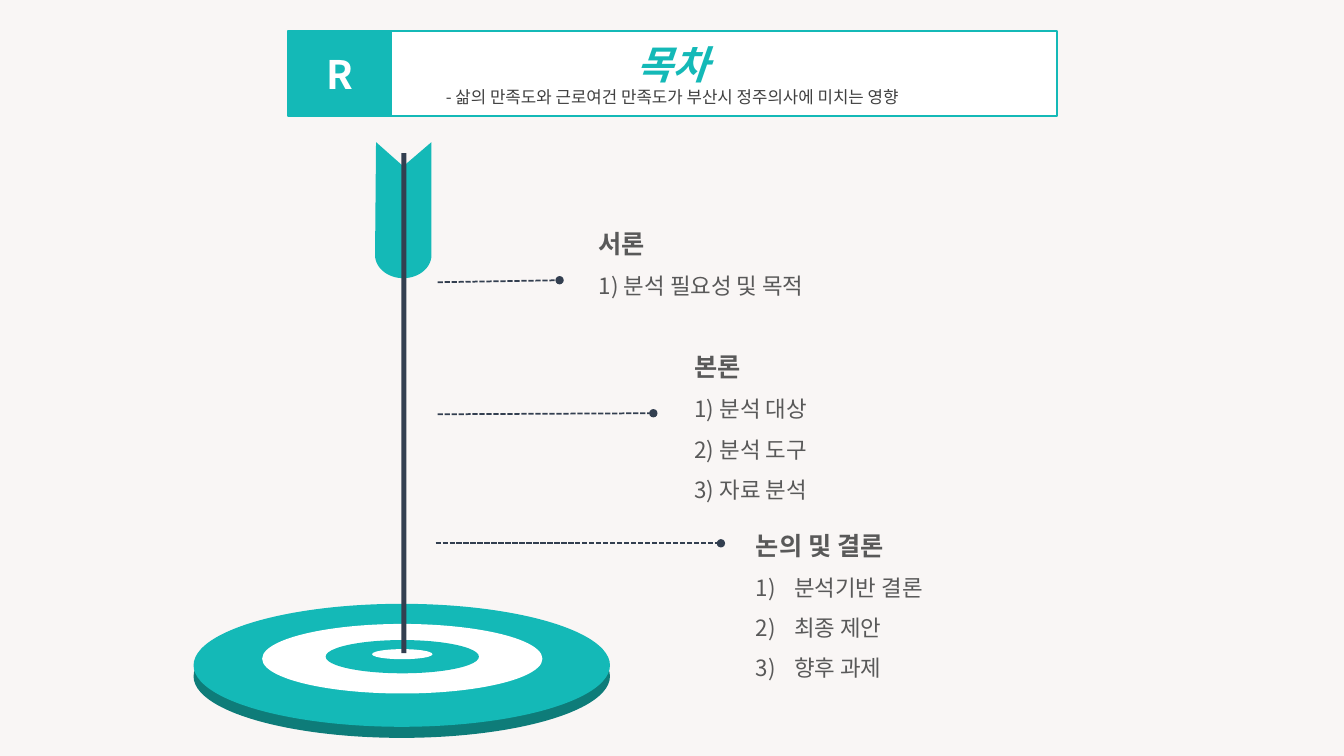
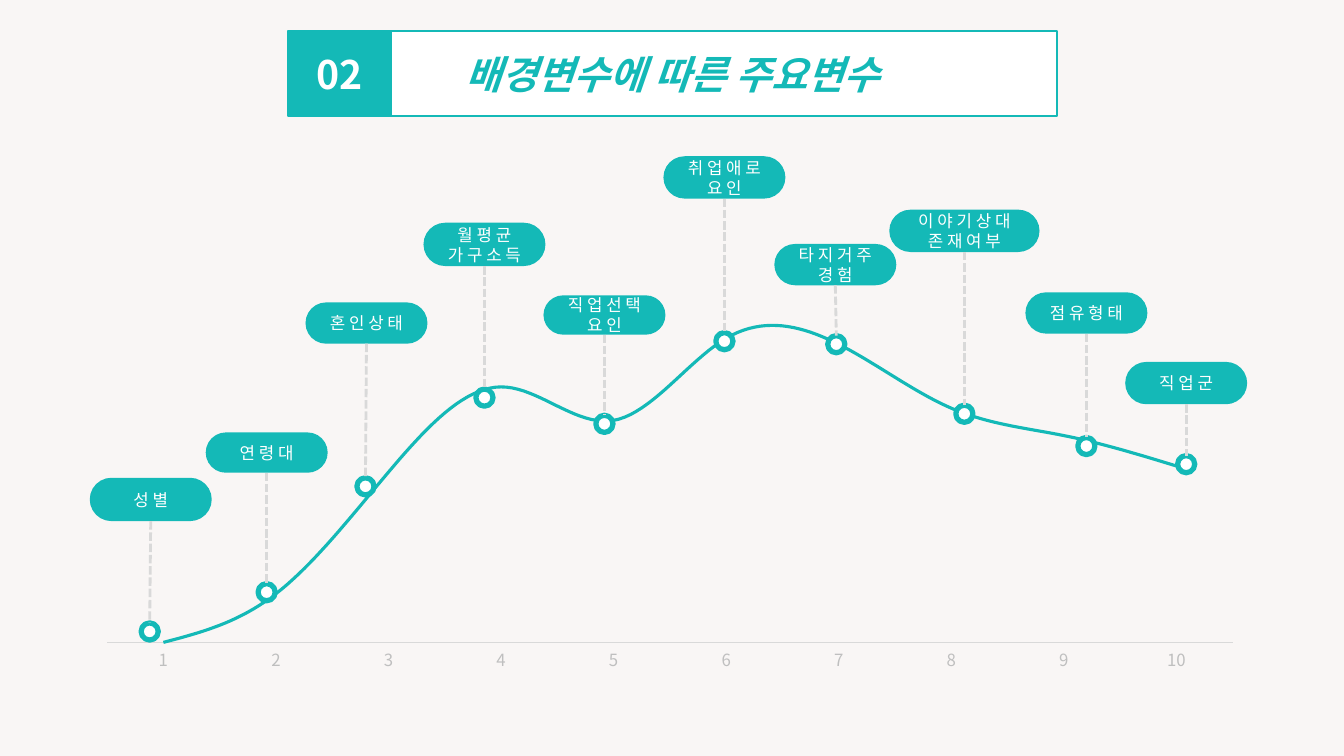
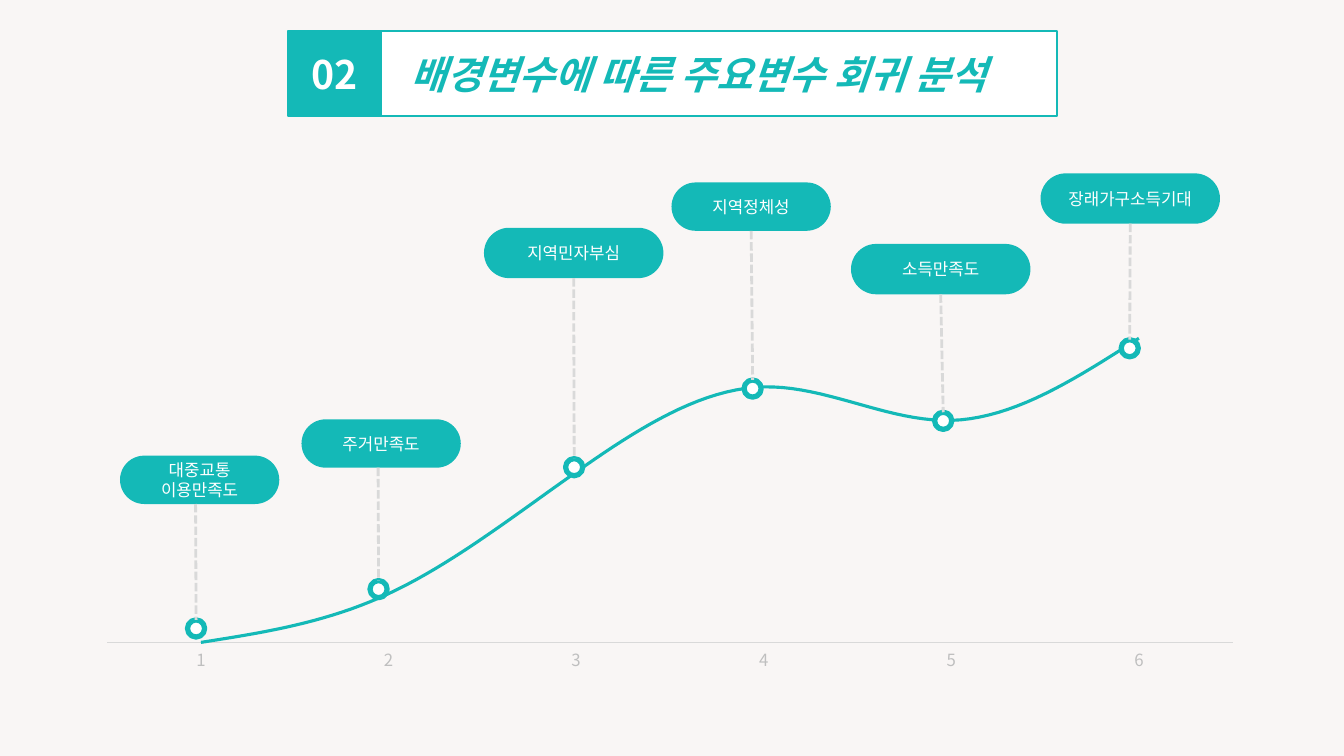
import math

import pptx
import pptx.chart.data
import pptx.dml.color
import pptx.enum.chart
import pptx.enum.dml
import pptx.enum.shapes
import pptx.enum.text
import pptx.oxml
import pptx.oxml.ns
import pptx.util

Inches = pptx.util.Inches
Pt = pptx.util.Pt
SHAPE = pptx.enum.shapes.MSO_SHAPE
ALIGN = pptx.enum.text.PP_ALIGN


def rgb(value):
    return pptx.dml.color.RGBColor.from_string(value)


def add_xml(parent, tag, **attrs):
    node = parent.makeelement(pptx.oxml.ns.qn(tag), attrs)
    parent.append(node)
    return node


class Deck:
    FONT = "Noto Sans CJK KR"
    TEAL, DEEP_TEAL, WHITE = "14B9B7", "0E7C79", "FFFFFF"
    PAPER, NAVY, GREY, INK = "F9F6F5", "333F50", "595959", "404040"
    RULE, AXIS = "D9D9D9", "BFBFBF"
    DOT = 0.17

    def __init__(self):
        self.prs = pptx.Presentation()
        self.prs.slide_width = Inches(13.33)
        self.prs.slide_height = Inches(7.5)

    def slide(self):
        self.s = self.prs.slides.add_slide(self.prs.slide_layouts[6])
        fill = self.s.background.fill
        fill.solid()
        fill.fore_color.rgb = rgb(self.PAPER)

    def run(self, p, text, size, color, bold=False, italic=False):
        r = p.add_run()
        r.text = text
        r.font.size = Pt(size)
        r.font.bold = bold
        r.font.italic = italic
        r.font.color.rgb = rgb(color)
        r.font.name = self.FONT
        add_xml(r.font._element, "a:ea", typeface=self.FONT)

    def paint(self, sp, fill, line=None, width=1):
        sp.shadow.inherit = False
        sp.fill.solid()
        sp.fill.fore_color.rgb = rgb(fill)
        if line:
            sp.line.color.rgb = rgb(line)
            sp.line.width = Pt(width)
        else:
            sp.line.fill.background()
        return sp

    def shape(self, kind, x, y, w, h, fill, line=None, width=1):
        sp = self.s.shapes.add_shape(kind, Inches(x), Inches(y), Inches(w), Inches(h))
        return self.paint(sp, fill, line, width)

    def centred(self, sp, lines):
        tf = sp.text_frame
        tf.word_wrap = True
        tf.vertical_anchor = pptx.enum.text.MSO_ANCHOR.MIDDLE
        for i, style in enumerate(lines):
            p = tf.add_paragraph() if i else tf.paragraphs[0]
            p.alignment = ALIGN.CENTER
            self.run(p, *style)

    def header(self, mark, title, subtitle=None, mark_width=1.02, indent=0.1):
        frame = self.shape(SHAPE.RECTANGLE, 2.86, 0.31, 7.62, 0.84, self.WHITE, self.TEAL, 1.5)
        frame.text_frame.margin_left = Inches(indent)
        lines = [(title, 28, self.TEAL, True, True)]
        if subtitle:
            lines.append((subtitle, 12, self.INK))
        self.centred(frame, lines)
        badge = self.shape(SHAPE.RECTANGLE, 2.86, 0.31, mark_width, 0.84, self.TEAL, self.TEAL)
        self.centred(badge, [(mark, 28, self.WHITE, True)])

    def line(self, x1, y1, x2, y2, color, width, tail=None):
        cx = self.s.shapes.add_connector(
            pptx.enum.shapes.MSO_CONNECTOR.STRAIGHT,
            Inches(x1), Inches(y1), Inches(x2), Inches(y2))
        cx.line.color.rgb = rgb(color)
        cx.line.width = Pt(width)
        cx.line.dash_style = pptx.enum.dml.MSO_LINE.SQUARE_DOT
        if tail:
            add_xml(cx.line._get_or_add_ln(), "a:tailEnd", type=tail)
        add_xml(cx._element.spPr, "a:effectLst")
        return cx

    def outline(self, points, fill):
        pts = [(Inches(x), Inches(y)) for x, y in points]
        builder = self.s.shapes.build_freeform(*pts[0], scale=1.0)
        builder.add_line_segments(pts[1:], close=True)
        self.paint(builder.convert_to_shape(), fill)

    def section(self, x, y, h, heading, items, indent):
        sp = self.s.shapes.add_textbox(Inches(x), Inches(y), Inches(2.77), Inches(h))
        tf = sp.text_frame
        tf.word_wrap = True
        tf.auto_size = pptx.enum.text.MSO_AUTO_SIZE.SHAPE_TO_FIT_TEXT
        p = tf.paragraphs[0]
        p.line_spacing = 1.5
        self.run(p, heading, 18, self.GREY, True)
        for item in items:
            p = tf.add_paragraph()
            p.line_spacing = 1.5
            pPr = p._p.get_or_add_pPr()
            pPr.set("marL", str(Inches(indent)))
            pPr.set("indent", str(-Inches(indent)))
            add_xml(pPr, "a:buFont", typeface="+mj-lt")
            add_xml(pPr, "a:buAutoNum", type="arabicParenR")
            self.run(p, item, 16, self.GREY)

    def pin(self, dot_x, dot_y, x, y, w, h, lines, stem_x=None):
        dot = self.shape(SHAPE.OVAL, dot_x, dot_y, self.DOT, self.DOT, self.WHITE, self.TEAL, 3.75)
        pill = self.shape(SHAPE.ROUNDED_RECTANGLE, x, y, w, h, self.TEAL)
        pill.adjustments[0] = 0.5
        self.centred(pill, [(text, 12, self.WHITE) for text in lines])
        top_x = stem_x or x + w / 2
        stem = self.line(top_x, y + h, dot_x + self.DOT / 2, dot_y, self.RULE, 2)
        if stem_x is None:
            stem.begin_connect(pill, 2)
        stem.end_connect(dot, 0)

    def curve(self, values):
        data = pptx.chart.data.CategoryChartData()
        data.categories = [str(i + 1) for i in range(len(values))]
        data.add_series("Series 1", values)
        chart = self.s.shapes.add_chart(
            pptx.enum.chart.XL_CHART_TYPE.LINE,
            Inches(0.83), Inches(2.9), Inches(11.63), Inches(3.86), data).chart
        chart.has_legend = False
        chart.has_title = False
        chart.font.size = Pt(10)
        chart.font.name = self.FONT
        chart.font.color.rgb = rgb(self.RULE)

        axis = chart.category_axis
        axis.major_tick_mark = pptx.enum.chart.XL_TICK_MARK.NONE
        axis.has_major_gridlines = False
        axis.format.line.color.rgb = rgb(self.RULE)
        axis.format.line.width = Pt(0.75)
        font = axis.tick_labels.font
        font.size = Pt(12)
        font.name = self.FONT
        font.color.rgb = rgb(self.AXIS)

        scale = chart.value_axis
        scale.visible = False
        scale.has_major_gridlines = False
        scale.minimum_scale = 0
        scale.maximum_scale = 110

        plot = chart.plots[0]
        plot.vary_by_categories = False
        series = plot.series[0]
        series.smooth = True
        series.marker.style = pptx.enum.chart.XL_MARKER_STYLE.NONE
        series.format.line.color.rgb = rgb(self.TEAL)
        series.format.line.width = Pt(2.25)

        area = chart._chartSpace.chart.plotArea
        for old in area.findall(pptx.oxml.ns.qn("c:layout")):
            area.remove(old)
        layout = area.makeelement(pptx.oxml.ns.qn("c:layout"), {})
        area.insert(0, layout)
        manual = add_xml(layout, "c:manualLayout")
        for tag, val in (("layoutTarget", "inner"), ("xMode", "edge"), ("yMode", "edge"),
                         ("x", "0.02"), ("y", "0.04"), ("w", "0.96"), ("h", "0.86")):
            add_xml(manual, "c:" + tag, val=val)


def contents(deck):
    deck.slide()
    deck.header("R", "목차", "- 삶의 만족도와 근로여건 만족도가 부산시 정주의사에 미치는 영향")
    for x, y, w, h, fill in (
            (1.92, 6.1, 4.13, 1.22, deck.DEEP_TEAL),
            (1.92, 5.99, 4.13, 1.22, deck.TEAL),
            (2.6, 6.19, 2.78, 0.69, deck.WHITE),
            (3.23, 6.35, 1.52, 0.33, deck.TEAL),
            (3.69, 6.44, 0.6, 0.1, deck.WHITE)):
        deck.shape(SHAPE.OVAL, x, y, w, h, fill)

    arc = [math.radians(a) for a in range(0, 181, 6)]
    feather = [(3.73, 1.41), (4, 1.65), (4.28, 1.41)]
    feather += [(4 + 0.28 * math.cos(a), 2.53 + 0.23 * math.sin(a)) for a in arc]
    deck.outline(feather, deck.TEAL)
    deck.shape(SHAPE.RECTANGLE, 3.98, 1.52, 0.05, 4.96, deck.NAVY)

    for ends in ((4.34, 2.8, 5.55, 2.78), (4.34, 4.11, 6.48, 4.1), (4.32, 5.39, 7.15, 5.39)):
        deck.line(*ends, deck.NAVY, 1.25, "oval")
    deck.section(5.84, 2.07, 0.96, "서론", ["분석 필요성 및 목적"], 0.25)
    deck.section(6.79, 3.29, 1.77, "본론", ["분석 대상", "분석 도구", "자료 분석"], 0.25)
    deck.section(7.4, 5.06, 1.77, "논의 및 결론", ["분석기반 결론", "최종 제안", "향후 과제"], 0.38)


def background_variables(deck):
    deck.slide()
    deck.curve([0, 16, 56, 84, 73, 100, 98, 77, 68, 58])
    deck.header("02", "배경변수에 따른 주요변수")
    for pin in (
            (1.4, 6.18, 0.89, 4.74, 1.21, 0.43, ["성 별"]),
            (2.56, 5.79, 2.04, 4.29, 1.21, 0.4, ["연 령 대"]),
            (3.54, 4.74, 3.03, 3, 1.21, 0.41, ["혼 인 상 태"]),
            (4.72, 3.86, 4.2, 2.21, 1.21, 0.43, ["월 평 균", "가 구 소 득"]),
            (5.91, 4.12, 5.39, 2.93, 1.21, 0.39, ["직 업 선 택", "요 인"]),
            (7.1, 3.3, 6.58, 1.55, 1.21, 0.42, ["취 업 애 로 요 인"]),
            (8.21, 3.33, 7.68, 2.42, 1.21, 0.41, ["타 지 거 주 경 험"]),
            (9.48, 4.02, 8.82, 2.08, 1.49, 0.42, ["이 야 기 상 대", "존 재 여 부"]),
            (10.69, 4.34, 10.17, 2.9, 1.21, 0.41, ["점 유 형 태"]),
            (11.68, 4.52, 11.16, 3.59, 1.21, 0.42, ["직 업 군"])):
        deck.pin(*pin)


def regression(deck):
    deck.slide()
    deck.header("02", "배경변수에 따른 주요변수 회귀 분석", mark_width=0.92, indent=0.62)
    deck.curve([0, 16, 56, 84, 73, 100])
    for pin in (
            (1.86, 6.15, 1.19, 4.52, 1.58, 0.48, ["대중교통", "이용만족도"], 1.94),
            (3.67, 5.76, 2.99, 4.16, 1.58, 0.48, ["주거만족도"], 3.75),
            (5.61, 4.55, 4.8, 2.26, 1.78, 0.5, ["지역민자부심"]),
            (7.38, 3.77, 6.66, 1.81, 1.58, 0.48, ["지역정체성"]),
            (9.27, 4.09, 8.44, 2.42, 1.78, 0.5, ["소득만족도"]),
            (11.12, 3.37, 10.32, 1.72, 1.78, 0.5, ["장래가구소득기대"])):
        deck.pin(*pin)


def main():
    deck = Deck()
    contents(deck)
    background_variables(deck)
    regression(deck)
    deck.prs.save("out.pptx")


if __name__ == "__main__":
    main()
